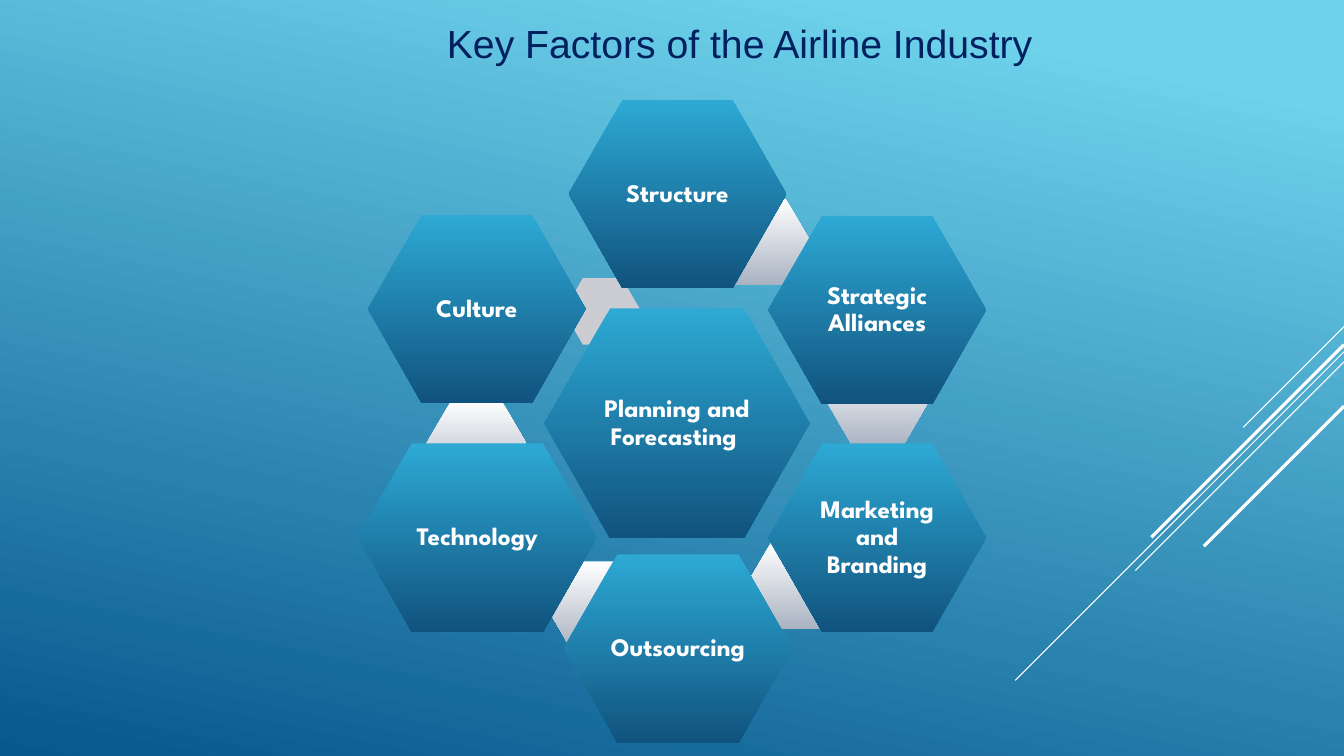
from lxml import etree
from pptx import Presentation
from pptx import util as u
from pptx.dml.color import RGBColor
from pptx.enum import shapes, text
from pptx.oxml.ns import qn

COLOURS = {
    "sky": "6ED2EB", "deep": "06588E",
    "hex_top": "2DA9D4", "hex_bottom": "11537F",
    "link_top": "FFFFFF", "link_bottom": "AAB3C2", "link_plain": "CCCDD2",
    "white": "FFFFFF", "navy": "002060",
}
SLIDE_WIDTH, SLIDE_HEIGHT = 13.33, 7.5

# Diagonals: top at the right edge, horizontal run, line width
DIAGONALS = [(3.24, 1, 0.75), (3.49, 3.26, 0.75), (3.59, 2.07, 0.75),
             (3.42, 1.91, 2.25), (4.03, 1.39, 2.25)]

# Links between factors: left, top
LINK_SIZE = (0.99, 0.86)
LINKS = [(7.05, 1.97), (8.21, 3.57), (7.4, 5.38), (5.41, 5.57), (4.23, 3.97)]

# Factors: label, left, top, width, height
FACTORS = [
    ("Planning and Forecasting ", 5.4, 3.06, 2.63, 2.28),
    ("Structure", 5.64, 0.99, 2.16, 1.87),
    ("Strategic Alliances", 7.62, 2.14, 2.16, 1.87),
    ("Marketing and Branding", 7.62, 4.4, 2.16, 1.87),
    ("Outsourcing", 5.59, 5.5, 2.27, 1.87),
    ("Technology", 3.55, 4.4, 2.37, 1.87),
    ("Culture", 3.65, 2.13, 2.16, 1.87),
]


def rgb(name):
    return RGBColor.from_string(COLOURS[name])


def apply(target, values):
    for name, value in values.items():
        setattr(target, name, value)


def paint_gradient(fill, first, last, start=0, clockwise=90):
    fill.gradient()
    fill.gradient_angle = 360 - clockwise
    for stop, name, position in zip(fill.gradient_stops, (first, last), (start, 1)):
        stop.color.rgb = rgb(name)
        stop.position = position


def write(frame, words, font, frame_format, spacing=None):
    apply(frame, {"word_wrap": True, **frame_format})
    para = frame.paragraphs[0]
    apply(para, {"alignment": text.PP_ALIGN.CENTER, "line_spacing": spacing})
    span = para.add_run()
    span.text = words
    colour = font["colour"]
    apply(span.font, {key: value for key, value in font.items() if key != "colour"})
    span.font.color.rgb = rgb(colour)


def add_hexagon(page, left, top, width, height, corner):
    hexagon = page.shapes.add_shape(
        shapes.MSO_SHAPE.HEXAGON, *map(u.Inches, (left, top, width, height)))
    hexagon.adjustments[0] = corner
    hexagon.shadow.inherit = False
    hexagon.line.fill.background()
    return hexagon


def add_link(page, left, top, size=LINK_SIZE):
    return add_hexagon(page, left, top, *size, corner=0.289)


def add_factor(page, label, left, top, width, height):
    hexagon = add_hexagon(page, left, top, width, height, corner=0.286)
    paint_gradient(hexagon.fill, "hex_top", "hex_bottom")
    margins = {f"margin_{side}": u.Inches(0.03)
               for side in ("left", "top", "right", "bottom")}
    write(hexagon.text_frame, label,
          {"name": "League Spartan", "size": u.Pt(18), "bold": True, "colour": "white"},
          {"vertical_anchor": text.MSO_ANCHOR.MIDDLE, **margins}, spacing=0.9)


def add_diagonal(page, top, run, weight):
    ends = (SLIDE_WIDTH, top, SLIDE_WIDTH - run, top + run)
    line = page.shapes.add_connector(
        shapes.MSO_CONNECTOR.STRAIGHT, *map(u.Inches, ends))
    line.line.color.rgb = rgb("white")
    line.line.width = u.Pt(weight)
    etree.SubElement(line.element.spPr, qn("a:effectLst"))


def add_title(page, words):
    box = page.shapes.add_textbox(*map(u.Inches, (3.99, 0.14, 6.69, 0.57)))
    write(box.text_frame, words,
          {"name": "Arial", "size": u.Pt(28), "colour": "navy"},
          {"auto_size": text.MSO_AUTO_SIZE.SHAPE_TO_FIT_TEXT})


def main():
    deck = Presentation()
    apply(deck, {"slide_width": u.Inches(SLIDE_WIDTH),
                 "slide_height": u.Inches(SLIDE_HEIGHT)})
    page = deck.slides.add_slide(deck.slide_layouts[6])

    # Background and diagonal lines
    paint_gradient(page.background.fill, "sky", "deep", start=0.1, clockwise=102)
    for diagonal in DIAGONALS:
        add_diagonal(page, *diagonal)

    # Links lie beneath the factors
    plain_link = add_link(page, 5.59, 2.76, (0.77, 0.66))
    plain_link.fill.solid()
    plain_link.fill.fore_color.rgb = rgb("link_plain")
    for place in LINKS:
        paint_gradient(add_link(page, *place).fill, "link_top", "link_bottom")

    # Factors and title
    for factor in FACTORS:
        add_factor(page, *factor)
    add_title(page, "Key Factors of the Airline Industry")

    deck.save("out.pptx")


if __name__ == "__main__":
    main()
